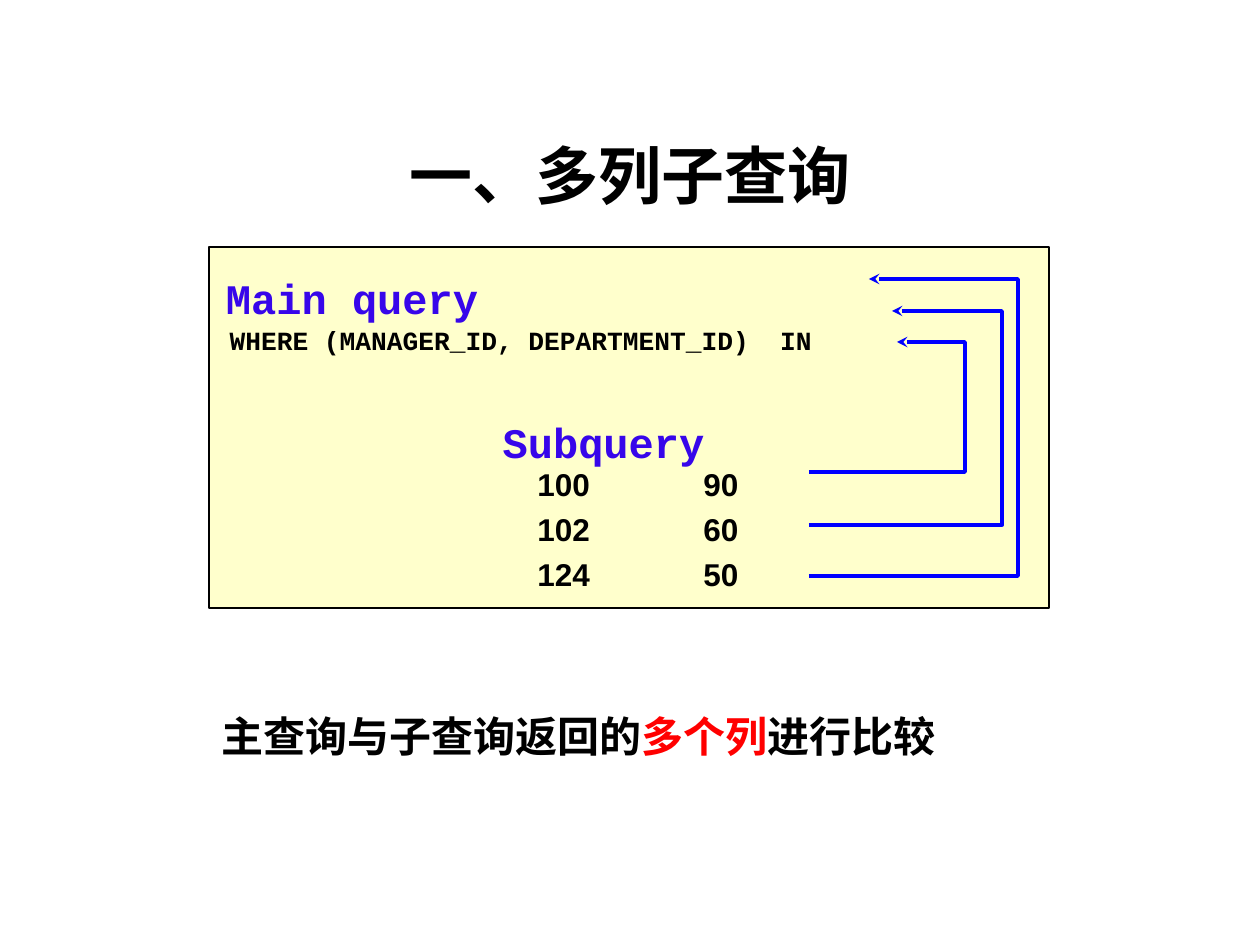
from pptx import Presentation
from pptx.dml.color import RGBColor
from pptx.enum.shapes import MSO_SHAPE as Shape
from pptx.enum.text import MSO_ANCHOR as Anchor, PP_ALIGN as Align
from pptx.oxml import parse_xml
from pptx.oxml.ns import nsdecls
from pptx.util import Pt

SCALE = 914400 / 126
BLACK, WHITE, CREAM = "000000", "FFFFFF", "FFFFCC"
VIOLET, BLUE, RED = "3706EA", "0000FF", "FF0000"

TITLE = ("一、多列子查询", 36, "Calibri", BLACK)
PANEL = (209, 247, 840, 361)
# text, font size, colour, box, top inset
CODE_LINES = [
    ("Main query", 24, VIOLET, (212, 249, 280, 72), 23),
    ("WHERE (MANAGER_ID, DEPARTMENT_ID)  IN", 15, BLACK, (214, 307, 614, 49), 17),
    ("Subquery", 24, VIOLET, (489, 393, 229, 72), 23),
]
RESULT_ROWS = [("100", "90"), ("102", "60"), ("124", "50")]
COLUMN_GAP = 166
ROW_PITCH = 25.7
ARROW_START = 809
# start y, right edge, tip x, tip y
ARROWS = [(472, 965, 897, 342), (525, 1002, 892, 311), (576, 1018, 869, 279)]
SUMMARY = [("主查询与子查询返回的", BLACK), ("多个列", RED), ("进行比较", BLACK)]


def px(value):
    return round(value * SCALE)


def color(value):
    return RGBColor.from_string(value)


def add_box(slide, box, anchor=Anchor.TOP, wrap=True, top_inset=6):
    frame = slide.shapes.add_textbox(*map(px, box)).text_frame
    frame.word_wrap = wrap
    frame.vertical_anchor = anchor
    frame.margin_top = px(top_inset)
    return frame


def add_run(paragraph, text, size, font, hue):
    run = paragraph.add_run()
    run.text = text
    run.font.size = Pt(size)
    run.font.name = font
    run.font.bold = True
    run.font.color.rgb = color(hue)


def add_panel(slide):
    panel = slide.shapes.add_shape(Shape.RECTANGLE, *map(px, PANEL))
    panel.shadow.inherit = False
    panel.fill.solid()
    panel.fill.fore_color.rgb = color(CREAM)
    panel.line.color.rgb = color(BLACK)
    panel.line.width = Pt(1)


def add_results(slide):
    frame = add_box(slide, (525, 452, 316, 149))
    for index, (manager, department) in enumerate(RESULT_ROWS):
        paragraph = frame.add_paragraph() if index else frame.paragraphs[0]
        paragraph.line_spacing = Pt(ROW_PITCH)
        paragraph._p.get_or_add_pPr().append(parse_xml(
            f'<a:tabLst {nsdecls("a")}><a:tab pos="{px(COLUMN_GAP)}" algn="l"/></a:tabLst>'))
        add_run(paragraph, f"{manager}\t{department}", 18, "Arial", BLACK)


def add_arrow(slide, start_y, right, tip_x, tip_y):
    builder = slide.shapes.build_freeform(ARROW_START, start_y, scale=SCALE)
    builder.add_line_segments([(right, start_y), (right, tip_y), (tip_x, tip_y)], close=False)
    arrow = builder.convert_to_shape()
    arrow.shadow.inherit = False
    arrow.fill.background()
    arrow.line.color.rgb = color(BLUE)
    arrow.line.width = Pt(2)
    arrow.line._get_or_add_ln().append(
        parse_xml(f'<a:tailEnd {nsdecls("a")} type="stealth"/>'))


def main():
    presentation = Presentation()
    presentation.slide_width, presentation.slide_height = px(1260), px(945)
    slide = presentation.slides.add_slide(presentation.slide_layouts[6])
    slide.background.fill.solid()
    slide.background.fill.fore_color.rgb = color(WHITE)

    title = add_box(slide, (63, 96, 1134, 157), Anchor.MIDDLE).paragraphs[0]
    title.alignment = Align.CENTER
    add_run(title, *TITLE)

    add_panel(slide)
    for text, size, hue, box, top_inset in CODE_LINES:
        line = add_box(slide, box, wrap=False, top_inset=top_inset).paragraphs[0]
        line.alignment = Align.CENTER
        add_run(line, text, size, "Courier New", hue)
    add_results(slide)
    for arrow in ARROWS:
        add_arrow(slide, *arrow)

    summary = add_box(slide, (209, 705, 895, 62), Anchor.MIDDLE).paragraphs[0]
    for text, hue in SUMMARY:
        add_run(summary, text, 24, "Arial", hue)

    presentation.save("out.pptx")


if __name__ == "__main__":
    main()
